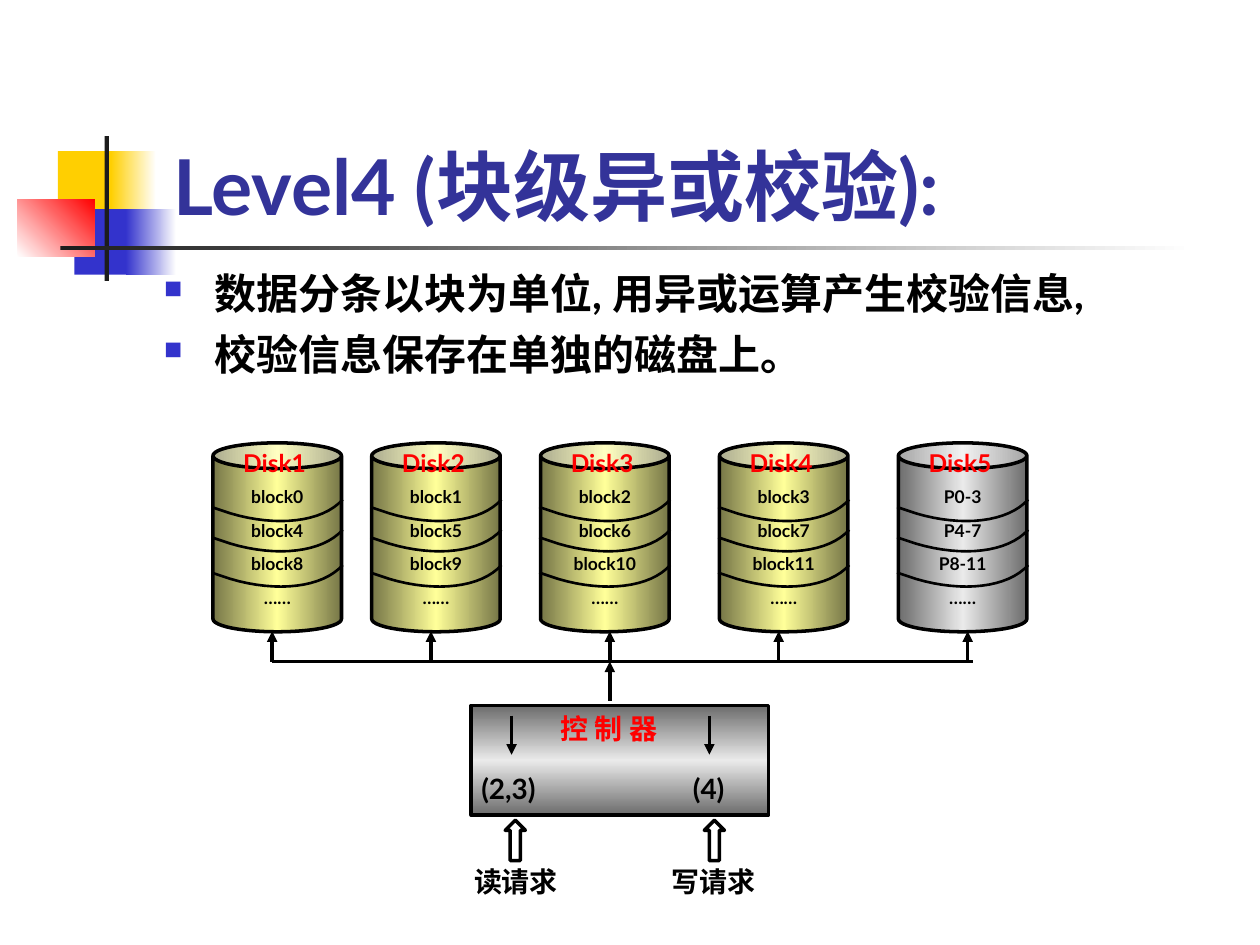
from pptx import Presentation
from pptx.dml.color import RGBColor
from pptx.enum.shapes import MSO_CONNECTOR as LINK, MSO_SHAPE as KIND
from pptx.enum.text import MSO_ANCHOR as ANCHOR, PP_ALIGN as ALIGN
from pptx.oxml import parse_xml
from pptx.oxml.ns import nsdecls
from pptx.util import Inches, Pt

rgb = RGBColor.from_string
BLACK, RED, BLUE, YELLOW, DARK = "000000", "FF0000", "3333CC", "FFCF01", "1C1C1C"
GOLD = ["767647", "FFFF99", "767647"]
SILVER = ["6C6C6C", "EAEAEA", "6C6C6C"]

deck = Presentation()
deck.slide_width, deck.slide_height = Inches(10), Inches(7.5)
cell = deck.slide_width // 100  # the page is a grid of 100 columns by 75 rows
page = deck.slides.add_slide(deck.slide_layouts[6])


def add_block(kind, place, colors=(), angle=0, outline=True):
    """Add a preset shape: no colour is hollow, one is solid, more make a gradient."""
    block = page.shapes.add_shape(kind, *[int(n * cell) for n in place])
    if len(colors) > 1:
        stops = "".join(
            f'<a:gs pos="{100000 * i // (len(colors) - 1)}"><a:srgbClr val="{color}"/></a:gs>'
            for i, color in enumerate(colors))
        block._element.spPr.insert(2, parse_xml(
            f'<a:gradFill {nsdecls("a")} rotWithShape="1"><a:gsLst>{stops}</a:gsLst>'
            f'<a:lin ang="{angle * 60000}" scaled="0"/></a:gradFill>'))
    elif colors:
        block.fill.solid()
        block.fill.fore_color.rgb = rgb(colors[0])
    else:
        block.fill.background()
    if outline:
        block.line.color.rgb = rgb(BLACK)
        block.line.width = Pt(2)
    else:
        block.line.fill.background()
    block.shadow.inherit = False
    return block


def write(target, lines, size, color=BLACK, align=ALIGN.LEFT, leading=None,
          anchor=ANCHOR.TOP, wrap=True, insets=(0, 0, 0, 0)):
    """Fill a shape, or a new text box at a place on the grid, with paragraphs."""
    if isinstance(target, tuple):
        target = page.shapes.add_textbox(*[int(n * cell) for n in target])
    frame = target.text_frame
    left, top, right, bottom = [Inches(n) for n in insets]
    settings = {"margin_left": left, "margin_top": top, "margin_right": right,
                "margin_bottom": bottom, "word_wrap": wrap, "vertical_anchor": anchor}
    for name, value in settings.items():
        setattr(frame, name, value)
    for i, line in enumerate(lines):
        para = frame.add_paragraph() if i else frame.paragraphs[0]
        para.alignment = align
        if leading:
            para.line_spacing = leading
        span = para.add_run()
        span.text = line
        for name, value in {"name": "Lato", "size": Pt(size), "bold": True}.items():
            setattr(span.font, name, value)
        span.font.color.rgb = rgb(color)
    return frame


# Corner ornament and rule
for place, colors, angle in [
    ((4.6, 12, 4.8, 5.2), [YELLOW], 0),
    ((8.8, 12, 3.6, 5.2), [YELLOW, "FFFFFF"], 0),
    ((5.9, 16.6, 4.6, 5.2), [BLUE], 0),
    ((10, 16.6, 4, 5.2), [BLUE, "FFFFFF"], 0),
    ((1.4, 15.8, 6.1, 4.6), ["FFFFFF", RED], 315),
    ((8.3, 10.8, 0.35, 11.5), [DARK], 0),
    ((4.8, 19.5, 90, 0.35), [DARK, "FFFFFF"], 0),
]:
    add_block(KIND.RECTANGLE, place, colors, angle, outline=False)

# Title and bullets
write((13.8, 3.6, 65, 14.7), ["Level4 (块级异或校验):"], 44, "333399", anchor=ANCHOR.BOTTOM)
points = write((13, 21.2, 77.2, 8.8),
               ["数据分条以块为单位, 用异或运算产生校验信息,", "校验信息保存在单独的磁盘上。"], 24)
for i, para in enumerate(points.paragraphs):
    if i:
        para.space_before = Pt(6)
    props = para._p.get_or_add_pPr()
    props.set("marL", str(Inches(0.4)))
    props.set("indent", str(-Inches(0.4)))
    for bullet in (f'<a:buClr {nsdecls("a")}><a:srgbClr val="{BLUE}"/></a:buClr>',
                   f'<a:buSzPct {nsdecls("a")} val="60000"/>',
                   f'<a:buChar {nsdecls("a")} char="■"/>'):
        props.append(parse_xml(bullet))

# Disks, each with three curved block borders
disk_top = 35.15
curve = [(10.3, 4.5), (8.7, 6.3), (5.1, 6.7), (1.4, 5.6)]
curve_end = (-0.1, 5.1)
steps = 16
border = []
for step in range(steps + 1):
    t = step / steps
    weights = [(1 - t) ** 3, 3 * t * (1 - t) ** 2, 3 * t ** 2 * (1 - t), t ** 3]
    border.append([sum(w * point[axis] for w, point in zip(weights, curve)) for axis in (0, 1)])
border.append(curve_end)

for number, left in enumerate([16.9, 29.5, 42.9, 57.1, 71.3]):
    parity = number == 4
    names = (["P0-3", "P4-7", "P8-11"] if parity
             else [f"block{number + 4 * stripe}" for stripe in range(3)])
    disk = add_block(KIND.CAN, (left, disk_top, 10.2, 15), SILVER if parity else GOLD)
    disk.adjustments[0] = 0.2
    write(disk, names + ["……"], 10, align=ALIGN.CENTER, leading=1.6,
          anchor=ANCHOR.MIDDLE, wrap=False, insets=(0.1, 0, 0.1, 0.05))
    write((left + 2.4, 35.6, 5.5, 2.3), [f"Disk{number + 1}"], 14, RED)
    for drop in (0, 2.4, 5.2):
        dots = [((left + x) * cell, (disk_top + drop + y) * cell) for x, y in border]
        outline = page.shapes.build_freeform(*dots[0])
        outline.add_line_segments(dots[1:], close=False)
        arc = outline.convert_to_shape()
        arc.fill.background()
        arc.line.color.rgb = rgb(BLACK)
        arc.line.width = Pt(1.5)
        arc.shadow.inherit = False

# Controller
add_block(KIND.RECTANGLE, (37.4, 56, 23.6, 8.7), SILVER, 90)
write((44.5, 56.5, 8.7, 5.3), ["控 制 器"], 16, RED)
write((38.2, 61.2, 6.3, 2.7), ["(2,3)"], 16)
write((53.1, 61.2, 6.3, 2.7), ["(4)"], 16, align=ALIGN.CENTER)

# Requests
for arrow_left, label_left, label in [(40.1, 37.4, "读请求"), (55.9, 53.1, "写请求")]:
    arrow = add_block(KIND.UP_ARROW, (arrow_left, 65.1, 1.6, 3.2))
    arrow.adjustments[0], arrow.adjustments[1] = 0.5, 0.5
    write((label_left, 68.6, 7.1, 2.7), [label], 16, align=ALIGN.CENTER)

# Bus line, then the arrows: disk stems, controller stem, request directions
bus = 52.5
arrows = [(x, bus, x, 50.1) for x in (21.6, 34.2, 48.4, 61.8, 76.8)]
arrows += [(48.4, 55.6, 48.4, bus)]
arrows += [(x, 56.8, x, 59.9) for x in (40.6, 56.3)]
for i, ends in enumerate([(21.6, bus, 77.2, bus)] + arrows):
    link = page.shapes.add_connector(LINK.STRAIGHT, *[int(n * cell) for n in ends])
    link.line.color.rgb = rgb(BLACK)
    link.line.width = Pt(2)
    if i:
        link.line._get_or_add_ln().append(parse_xml(f'<a:tailEnd {nsdecls("a")} type="triangle"/>'))
    link._element.spPr.append(parse_xml(f'<a:effectLst {nsdecls("a")}/>'))

deck.save("out.pptx")
